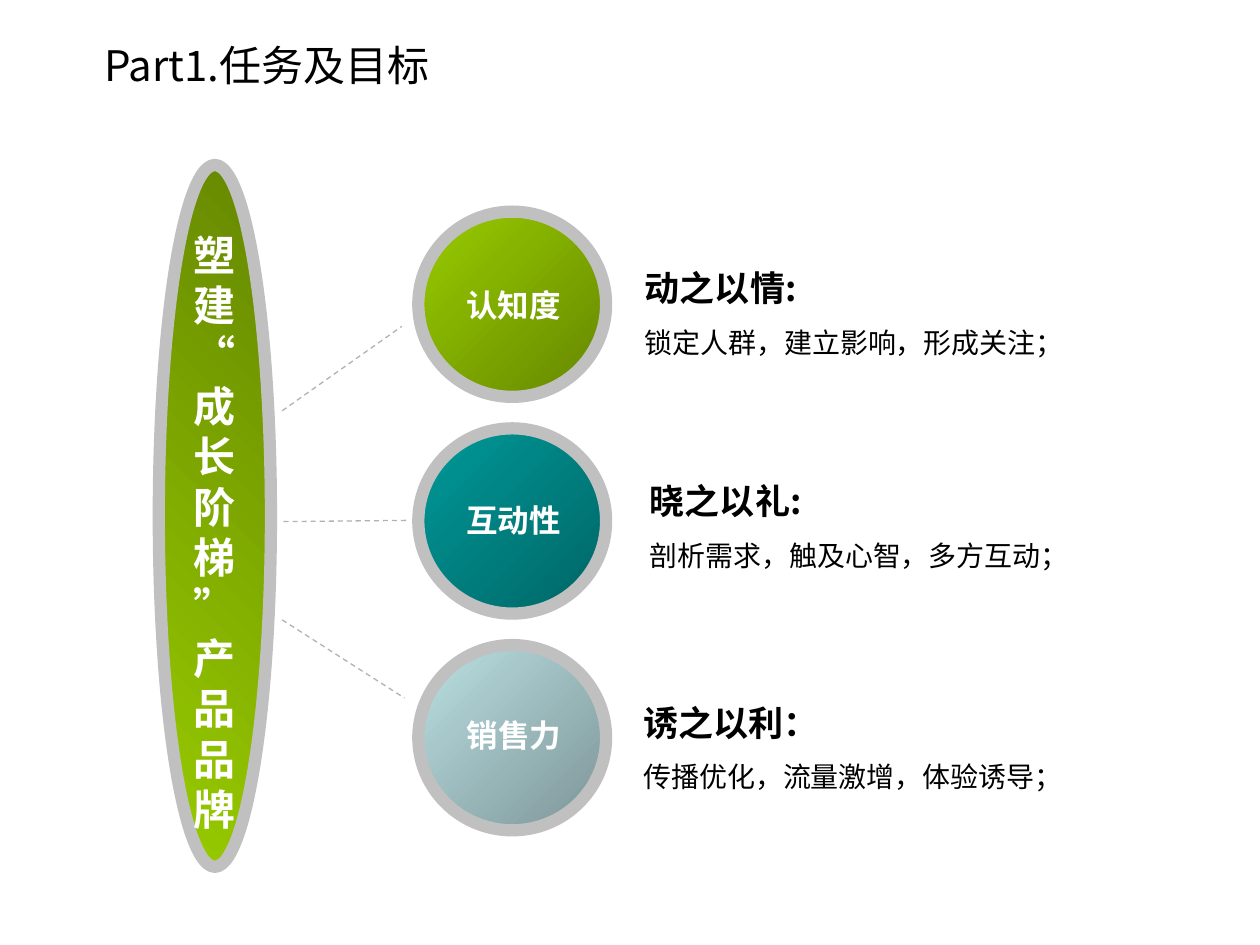
from pptx import Presentation
from pptx.dml.color import RGBColor
from pptx.enum.dml import MSO_LINE
from pptx.enum.lang import MSO_LANGUAGE_ID
from pptx.enum.shapes import MSO_CONNECTOR, MSO_SHAPE
from pptx.enum.text import MSO_ANCHOR, MSO_AUTO_SIZE, PP_ALIGN
from pptx.oxml.ns import qn
from pptx.oxml.xmlchemy import OxmlElement
from pptx.util import Inches, Pt

CIRCLE = MSO_SHAPE.FLOWCHART_CONNECTOR
STRAIGHT = MSO_CONNECTOR.STRAIGHT
DASH = MSO_LINE.DASH
CENTER, LEFT = PP_ALIGN.CENTER, PP_ALIGN.LEFT
TOP, MIDDLE = MSO_ANCHOR.TOP, MSO_ANCHOR.MIDDLE
GROW, FIXED = MSO_AUTO_SIZE.SHAPE_TO_FIT_TEXT, MSO_AUTO_SIZE.NONE
CHINESE = MSO_LANGUAGE_ID.SIMPLIFIED_CHINESE

FONT = "Noto Sans CJK SC"
WIDTH, HEIGHT = 10, 7.5
ROW_TOP, ROW_PITCH = 1.68, 1.72  # first circle and the step between circles
CIRCLE_LEFT, CIRCLE_W, CIRCLE_H = 3.32, 1.49, 1.47

# label, label box (left, drop, width), gradient, note (left, drop, width), heading, detail
GOALS = [
    ("认知度", (3.6, 0.54, 0.95), ("99CC00", "658700"),
     (5.02, 0.22, 3.97), "动之以情:", "锁定人群，建立影响，形成关注；"),
    ("互动性", (3.6, 0.53, 0.95), ("009999", "006565"),
     (5.06, 0.19, 4.06), "晓之以礼:", "剖析需求，触及心智，多方互动；"),
    ("销售力", (3.31, 0.51, 1.54), ("BBE0E3", "7C9496"),
     (5.01, 0.23, 3.7), "诱之以利：", "传播优化，流量激增，体验诱导；"),
]
# Dashed links from the brand ellipse towards each circle
LINKS = [(2.24, 3.26, 3.19, 2.59), (2.25, 4.14, 3.23, 4.13), (2.24, 4.92, 3.21, 5.54)]

TITLE = dict(size=Pt(24), bold=False)
BRAND = dict(size=Pt(24), bold=True)
LABEL = dict(size=Pt(18), bold=True)
HEADING = dict(size=Pt(20), bold=True)
DETAIL = dict(size=Pt(16), bold=False)


def rgb(value):
    return RGBColor.from_string(value)


def add_disc(slide, box, colors, angle, rotation=0):
    """Grey-rimmed disc; angle is clockwise and independent of the rotation."""
    s = slide.shapes.add_shape(CIRCLE, *map(Inches, box))
    s.shadow.inherit = False
    s.rotation = rotation
    s.fill.gradient()
    s.fill.gradient_angle = 360 - angle
    for stop, color, position in zip(s.fill.gradient_stops, colors, (0, 1)):
        stop.color.rgb = rgb(color)
        stop.position = position
    s._element.spPr.find(qn("a:gradFill")).set("rotWithShape", "0")
    s.line.color.rgb = rgb("C0C0C0")
    s.line.width = Pt(7)


def add_text(slide, box, lines, color="000000", wrap=True, anchor=TOP, fit=GROW, **layout):
    """Text box holding one paragraph for each (text, format) pair."""
    tf = slide.shapes.add_textbox(*map(Inches, box)).text_frame
    tf.word_wrap, tf.vertical_anchor, tf.auto_size = wrap, anchor, fit
    for i, (text, style) in enumerate(lines):
        p = tf.add_paragraph() if i else tf.paragraphs[0]
        for name, value in layout.items():
            setattr(p, name, value)
        p.text = text
        for r in p.runs:
            r.font.color.rgb = rgb(color)
            for name, value in dict(style, name=FONT, language_id=CHINESE).items():
                setattr(r.font, name, value)
            ea = OxmlElement("a:ea")
            ea.set("typeface", FONT)
            r.font._element.find(qn("a:latin")).addnext(ea)


def add_link(slide, ends):
    s = slide.shapes.add_connector(STRAIGHT, *map(Inches, ends))
    s.line.color.rgb = rgb("B2B2B2")
    s.line.width = Pt(0.75)
    s.line.dash_style = DASH
    s._element.spPr.append(OxmlElement("a:effectLst"))


def add_goal(slide, top, goal):
    label, (x, drop, w), colors, (note_x, note_drop, note_w), heading, detail = goal
    add_disc(slide, (CIRCLE_LEFT, top, CIRCLE_W, CIRCLE_H), colors, 45)
    add_text(slide, (note_x, top + note_drop, note_w, 1),
             [(heading, HEADING), (detail, DETAIL)], alignment=LEFT, line_spacing=1.5)
    add_text(slide, (x, top + drop, w, 0.4), [(label, LABEL)], "FFFFFF",
             wrap=w > 1, alignment=CENTER)


def main():
    prs = Presentation()
    prs.slide_width, prs.slide_height = Inches(WIDTH), Inches(HEIGHT)
    slide = prs.slides.add_slide(prs.slide_layouts[6])

    # Title
    add_text(slide, (0.73, 0.21, 9, 0.61), [("Part1.任务及目标", TITLE)],
             anchor=MIDDLE, fit=FIXED)

    # Three goals
    for i, goal in enumerate(GOALS):
        add_goal(slide, ROW_TOP + i * ROW_PITCH, goal)

    # Brand ellipse, its narrow box setting one character a line
    add_disc(slide, (-1.08, 3.65, 5.57, 0.89), ("99CC00", "658700"), 315, rotation=90)
    add_text(slide, (1.4, 1.77, 0.6, 4.9), [("塑建“成长阶梯”\v产品品牌", BRAND)],
             "FFFFFF", alignment=CENTER, space_before=Pt(15))

    # Links
    for ends in LINKS:
        add_link(slide, ends)

    prs.save("out.pptx")


if __name__ == "__main__":
    main()
